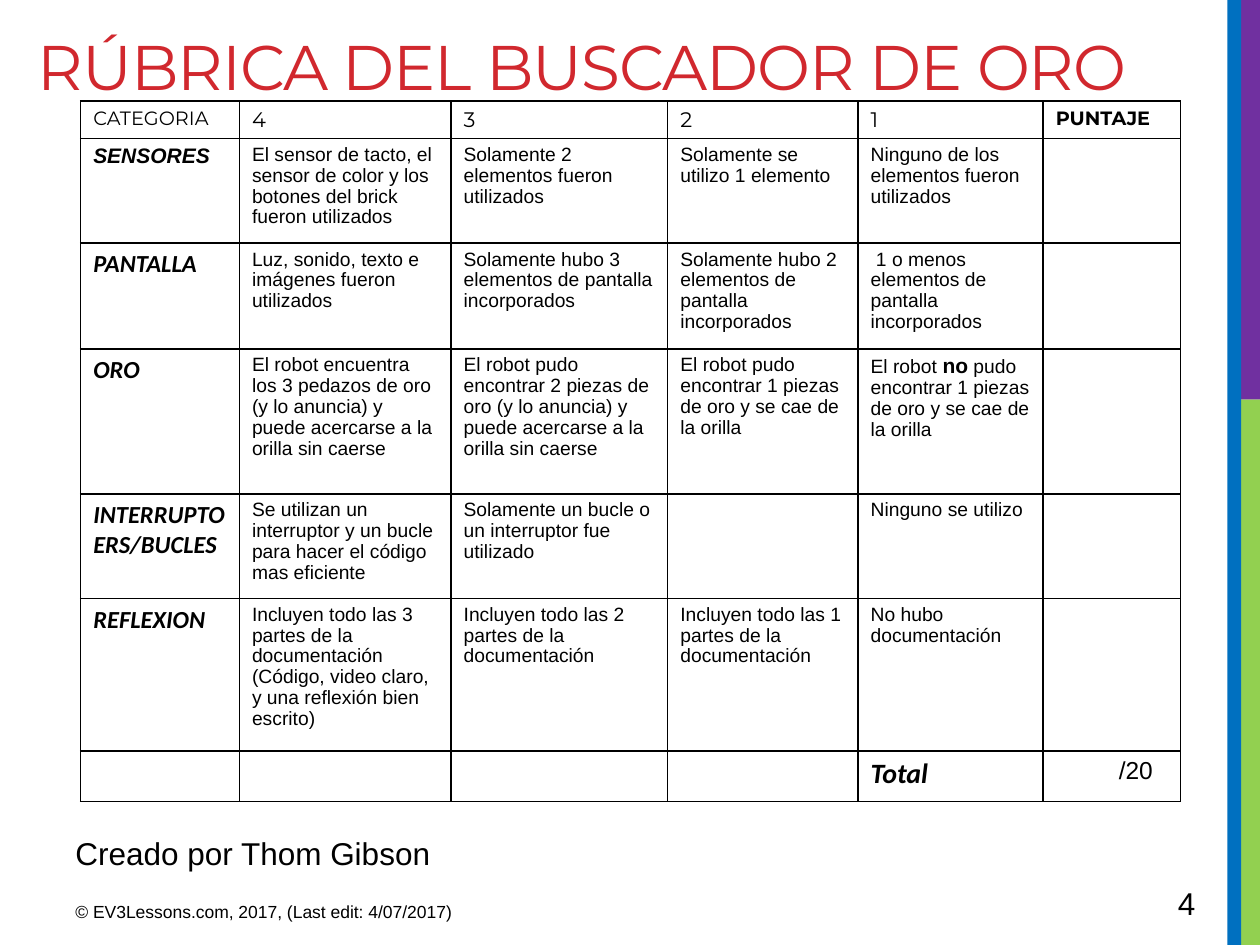
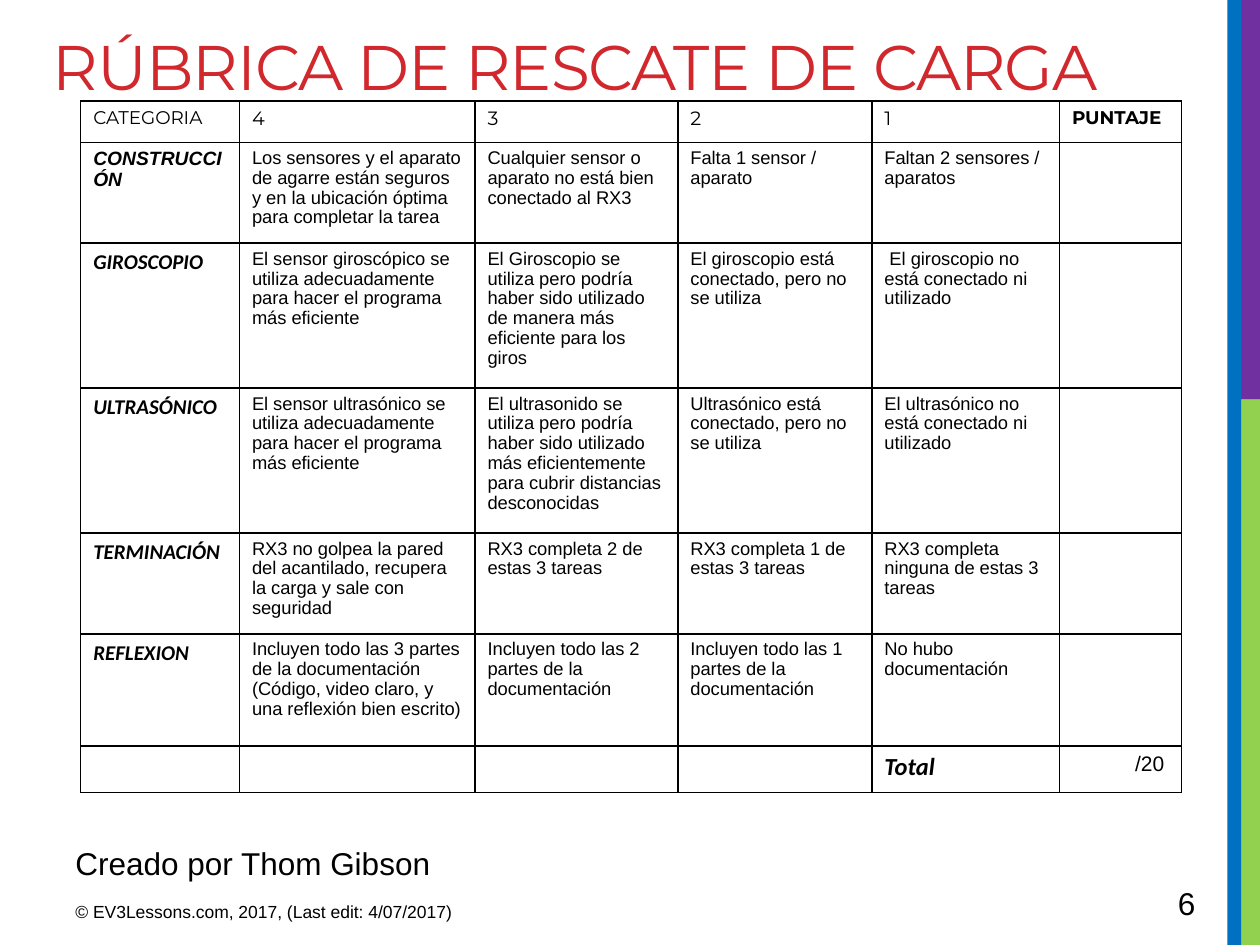
from lxml.etree import SubElement
from pptx import Presentation
from pptx.dml.color import RGBColor
from pptx.enum.shapes import MSO_SHAPE
from pptx.enum.text import MSO_ANCHOR, PP_ALIGN
from pptx.oxml.ns import qn
from pptx.util import Inches, Pt

COLORS = {
    "title": "D1282E",
    "text": "000000",
    "paper": "FFFFFF",
    "blue": "0070C0",
    "purple": "7030A0",
    "green": "92D050",
}
# Side bands: colour, left, top, width, height
BANDS = [
    ("green", 9.84, 3.17, 0.16, 4.33),
    ("purple", 9.84, 0, 0.16, 3.17),
    ("blue", 9.74, 0, 0.11, 7.5),
]
HEADER = ["CATEGORIA", "4", "3", "2", "1", "PUNTAJE"]
REFLECTION = [
    "REFLEXION",
    "Incluyen todo las 3 partes de la documentación (Código, video claro, y una reflexión bien escrito)",
    "Incluyen todo las 2 partes de la documentación",
    "Incluyen todo las 1 partes de la documentación",
    "No hubo documentación",
    "",
]
TOTAL = ["", "", "", "", "Total", "/20"]

# Each rubric: text between asterisks is emphasised
GOLD = {
    "title": "RÚBRICA DEL BUSCADOR DE ORO",
    "title_box": (0.2, 0.17, 9.53, 1.5),
    "number": "4",
    "author_top": 6.57,
    "columns": [1.26, 1.68, 1.72, 1.51, 1.47, 1.09],
    "heights": [0.3, 0.83, 0.84, 1.15, 0.83, 1.21, 0.4],
    "sizes": {"label": 11, "level": 12, "first": 12, "category": 14,
              "body": 11, "total": 16, "points": 14},
    "rows": [
        ["SENSORES",
         "El sensor de tacto, el sensor de color y los botones del brick fueron utilizados",
         "Solamente 2 elementos fueron utilizados",
         "Solamente se utilizo 1 elemento",
         "Ninguno de los elementos fueron utilizados", ""],
        ["PANTALLA",
         "Luz, sonido, texto e imágenes fueron utilizados",
         "Solamente hubo 3 elementos de pantalla incorporados",
         "Solamente hubo 2 elementos de pantalla incorporados",
         " 1 o menos elementos de pantalla incorporados", ""],
        ["ORO",
         "El robot encuentra los 3 pedazos de oro (y lo anuncia) y puede acercarse a la orilla sin caerse",
         "El robot pudo encontrar 2 piezas de oro (y lo anuncia) y puede acercarse a la orilla sin caerse",
         "El robot pudo encontrar 1 piezas de oro y se cae de la orilla",
         "El robot *no* pudo encontrar 1 piezas de oro y se cae de la orilla", ""],
        ["INTERRUPTOERS/BUCLES",
         "Se utilizan un interruptor y un bucle para hacer el código mas eficiente",
         "Solamente un bucle o un interruptor fue utilizado",
         "", "Ninguno se utilizo", ""],
    ],
}
CARGO = {
    "title": "RÚBRICA DE RESCATE DE CARGA",
    "title_box": (0.32, 0.17, 9.37, 1.5),
    "number": "6",
    "author_top": 6.65,
    "columns": [1.26, 1.87, 1.61, 1.54, 1.49, 0.97],
    "heights": [0.33, 0.8, 1.15, 1.15, 0.8, 0.89, 0.37],
    "sizes": {"label": 10.5, "level": 11, "first": 11, "category": 12,
              "body": 10.5, "total": 14, "points": 12},
    "rows": [
        ["CONSTRUCCIÓN",
         "Los sensores y el aparato de agarre están seguros y en la ubicación óptima para completar la tarea",
         "Cualquier sensor o aparato no está bien conectado al RX3",
         "Falta 1 sensor / aparato",
         "Faltan 2 sensores / aparatos", ""],
        ["GIROSCOPIO",
         "El sensor giroscópico se utiliza adecuadamente para hacer el programa más eficiente",
         "El Giroscopio se utiliza pero podría haber sido utilizado de manera más eficiente para los giros",
         "El giroscopio está conectado, pero no se utiliza",
         " El giroscopio no está conectado ni utilizado", ""],
        ["ULTRASÓNICO",
         "El sensor ultrasónico se utiliza adecuadamente para hacer el programa más eficiente",
         "El ultrasonido se utiliza pero podría haber sido utilizado más eficientemente para cubrir distancias desconocidas",
         "Ultrasónico está conectado, pero no se utiliza",
         "El ultrasónico no está conectado ni utilizado", ""],
        ["TERMINACIÓN",
         "RX3 no golpea la pared del acantilado, recupera la carga y sale con seguridad",
         "RX3 completa 2 de estas 3 tareas",
         "RX3 completa 1 de estas 3 tareas",
         "RX3 completa ninguna de estas 3 tareas", ""],
    ],
}


def color(name):
    return RGBColor.from_string(COLORS[name])


def write_text(frame, text, *, size, font="Arial", fill="text", bold=False,
               italic=False, line_spacing=None, indent=0, tracking=0):
    frame.word_wrap = True
    para = frame.paragraphs[0]
    para.alignment = PP_ALIGN.LEFT
    if line_spacing:
        para.line_spacing = line_spacing
    if indent:
        para._p.get_or_add_pPr().set("marL", str(Inches(indent)))
    if not text:
        SubElement(para._p, qn("a:endParaRPr"), sz=str(int(size * 100)))
        return
    for index, part in enumerate(text.split("*")):
        emphasis = index % 2 == 1
        span = para.add_run()
        span.text = part
        span.font.name = font
        span.font.size = Pt(size + 1 if emphasis else size)
        span.font.bold = bold or emphasis
        span.font.italic = italic
        span.font.color.rgb = color(fill)
        if tracking:
            span._r.get_or_add_rPr().set("spc", str(int(tracking * 100)))


def add_label(page, text, left, top, width, height, **style):
    box = page.shapes.add_textbox(*map(Inches, (left, top, width, height)))
    write_text(box.text_frame, text, **style)


def add_bands(page):
    for name, *place in BANDS:
        band = page.shapes.add_shape(MSO_SHAPE.RECTANGLE, *map(Inches, place))
        band.shadow.inherit = False
        band.fill.solid()
        band.fill.fore_color.rgb = color(name)
        band.line.fill.background()


def add_title(page, text, place):
    title = page.shapes.title
    title.left, title.top, title.width, title.height = map(Inches, place)
    title.text_frame.vertical_anchor = MSO_ANCHOR.TOP
    write_text(title.text_frame, text, size=36, font="Montserrat",
               fill="title", tracking=-0.6)


def add_footer(page, number, author_top):
    add_label(page, "Creado por Thom Gibson", 0.5, author_top, 6.99, 0.4, size=18)
    add_label(page, "© EV3Lessons.com, 2017, (Last edit: 4/07/2017)",
              0.5, 7.1, 3.75, 0.31, size=10)
    add_label(page, number, 9.25, 6.97, 0.69, 0.4, size=18)


def format_cell(cell):
    properties = cell._tc.get_or_add_tcPr()
    for side in ("lnL", "lnR", "lnT", "lnB"):
        border = SubElement(properties, qn(f"a:{side}"), w=str(Pt(1)))
        solid = SubElement(border, qn("a:solidFill"))
        SubElement(solid, qn("a:srgbClr"), val=COLORS["text"])
    cell.fill.solid()
    cell.fill.fore_color.rgb = color("paper")


def cell_style(row, column, last_row, sizes):
    """Text format by the role of the cell in the rubric."""
    if row == 0:
        edge = column in (0, 5)
        return {"size": sizes["label" if edge else "level"],
                "font": "Montserrat", "bold": column == 5}
    if row == last_row and column == 5:
        return {"size": sizes["points"], "indent": 0.5}
    if row == last_row and column == 4:
        return {"size": sizes["total"], "font": "Calibri", "bold": True, "italic": True}
    if column == 0 and row == 1:
        return {"size": sizes["first"], "bold": True, "italic": True, "line_spacing": 0.97}
    if column == 0:
        return {"size": sizes["category"], "font": "Calibri", "bold": True, "italic": True}
    return {"size": sizes["body"], "line_spacing": 0.97}


def add_rubric_table(page, rubric, left, top):
    rows = [HEADER, *rubric["rows"], REFLECTION, TOTAL]
    columns, heights = rubric["columns"], rubric["heights"]
    table = page.shapes.add_table(
        len(rows), len(columns), Inches(left), Inches(top),
        Inches(sum(columns)), Inches(sum(heights))).table
    table.first_row = table.horz_banding = False
    for column, width in zip(table.columns, columns):
        column.width = Inches(width)
    for row, height in zip(table.rows, heights):
        row.height = Inches(height)
    for row, texts in enumerate(rows):
        for column, text in enumerate(texts):
            cell = table.cell(row, column)
            format_cell(cell)
            write_text(cell.text_frame, text,
                       **cell_style(row, column, len(rows) - 1, rubric["sizes"]))


def add_rubric_page(deck, rubric):
    page = deck.slides.add_slide(deck.slide_layouts[5])
    add_bands(page)
    add_title(page, rubric["title"], rubric["title_box"])
    add_footer(page, rubric["number"], rubric["author_top"])
    add_rubric_table(page, rubric, 0.64, 0.8)


def main():
    deck = Presentation()
    deck.slide_width, deck.slide_height = Inches(10), Inches(7.5)
    for rubric in (GOLD, CARGO):
        add_rubric_page(deck, rubric)
    deck.save("out.pptx")


if __name__ == "__main__":
    main()
